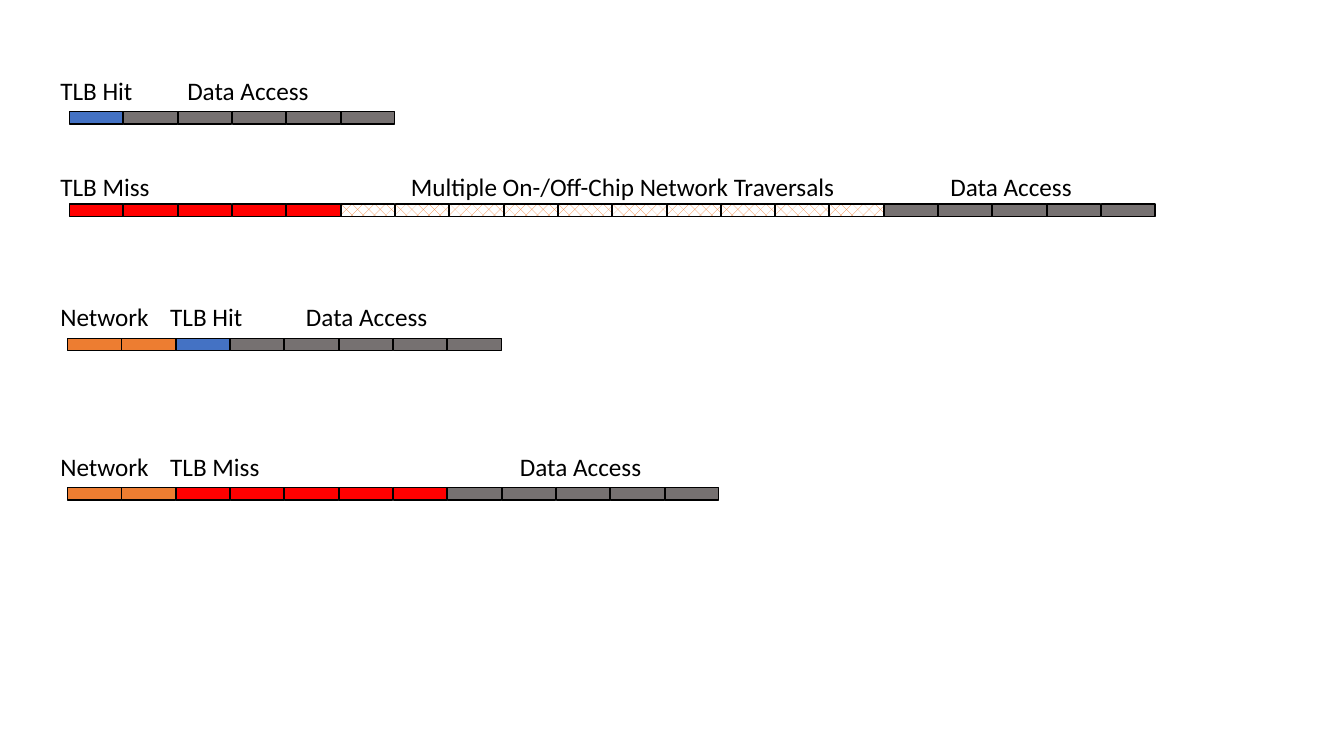
from pptx import Presentation
from pptx.dml.color import RGBColor
from pptx.enum.dml import MSO_PATTERN as Pattern
from pptx.enum.shapes import MSO_SHAPE as Preset
from pptx.enum.text import MSO_AUTO_SIZE as AutoSize
from pptx.util import Pt


def color(hex_string):
    return RGBColor.from_string(hex_string)


CYCLE_STEP, CYCLE_WIDTH, CYCLE_HEIGHT = 38.8, 38.4, 8.9
LABEL_HEIGHT = 29.1
LABEL_FONT = {"name": "Calibri", "size": Pt(18)}
LABEL_FRAME = {"word_wrap": True, "auto_size": AutoSize.SHAPE_TO_FIT_TEXT}
STAGE_COLORS = {"hit": "4472C4", "miss": "FF0000", "network": "ED7D31",
                "traversal": "ED7D31", "data": "767171"}

timelines = [
    {"left": 49.5, "top": 79.7, "label_top": 50.4,
     "stages": [("hit", 1), ("data", 5)],
     "labels": [("TLB Hit", 36, 83.5), ("Data Access", 126.7, 151.2)]},
    {"left": 49.5, "top": 145.7, "label_top": 118.9,
     "stages": [("miss", 5), ("traversal", 10), ("data", 5)],
     "labels": [("TLB Miss", 36, 83.5),
                ("Multiple On-/Off-Chip Network Traversals", 286.5, 331.2),
                ("Data Access", 671.8, 151.2)]},
    {"left": 48.2, "top": 241.6, "label_top": 211.9,
     "stages": [("network", 2), ("hit", 1), ("data", 5)],
     "labels": [("Network", 36, 185), ("TLB Hit", 114.5, 185),
                ("Data Access", 211.5, 151.2)]},
    {"left": 48.2, "top": 348.4, "label_top": 319,
     "stages": [("network", 2), ("miss", 5), ("data", 5)],
     "labels": [("Network", 36, 185), ("TLB Miss", 114.5, 185),
                ("Data Access", 364.3, 151.2)]},
]

deck = Presentation()
deck.slide_width, deck.slide_height = Pt(960), Pt(540)
slide = deck.slides.add_slide(deck.slide_layouts[6])

for timeline in timelines:
    cycles = [stage for stage, count in timeline["stages"] for _ in range(count)]
    for position, stage in enumerate(cycles):
        cycle = slide.shapes.add_shape(
            Preset.RECTANGLE, Pt(timeline["left"] + position * CYCLE_STEP),
            Pt(timeline["top"]), Pt(CYCLE_WIDTH), Pt(CYCLE_HEIGHT))
        cycle.shadow.inherit = False
        cycle.line.color.rgb = color("000000")
        cycle.line.width = Pt(1)
        if stage == "traversal":
            cycle.fill.patterned()
            cycle.fill.pattern = Pattern.PERCENT_25
            cycle.fill.fore_color.rgb = color(STAGE_COLORS[stage])
            cycle.fill.back_color.rgb = color("FFFFFF")
        else:
            cycle.fill.solid()
            cycle.fill.fore_color.rgb = color(STAGE_COLORS[stage])

    for wording, left, width in timeline["labels"]:
        label = slide.shapes.add_textbox(
            Pt(left), Pt(timeline["label_top"]), Pt(width), Pt(LABEL_HEIGHT))
        for attribute, value in LABEL_FRAME.items():
            setattr(label.text_frame, attribute, value)
        run = label.text_frame.paragraphs[0].add_run()
        run.text = wording
        for attribute, value in LABEL_FONT.items():
            setattr(run.font, attribute, value)
        run.font.color.rgb = color("000000")

deck.save("out.pptx")
